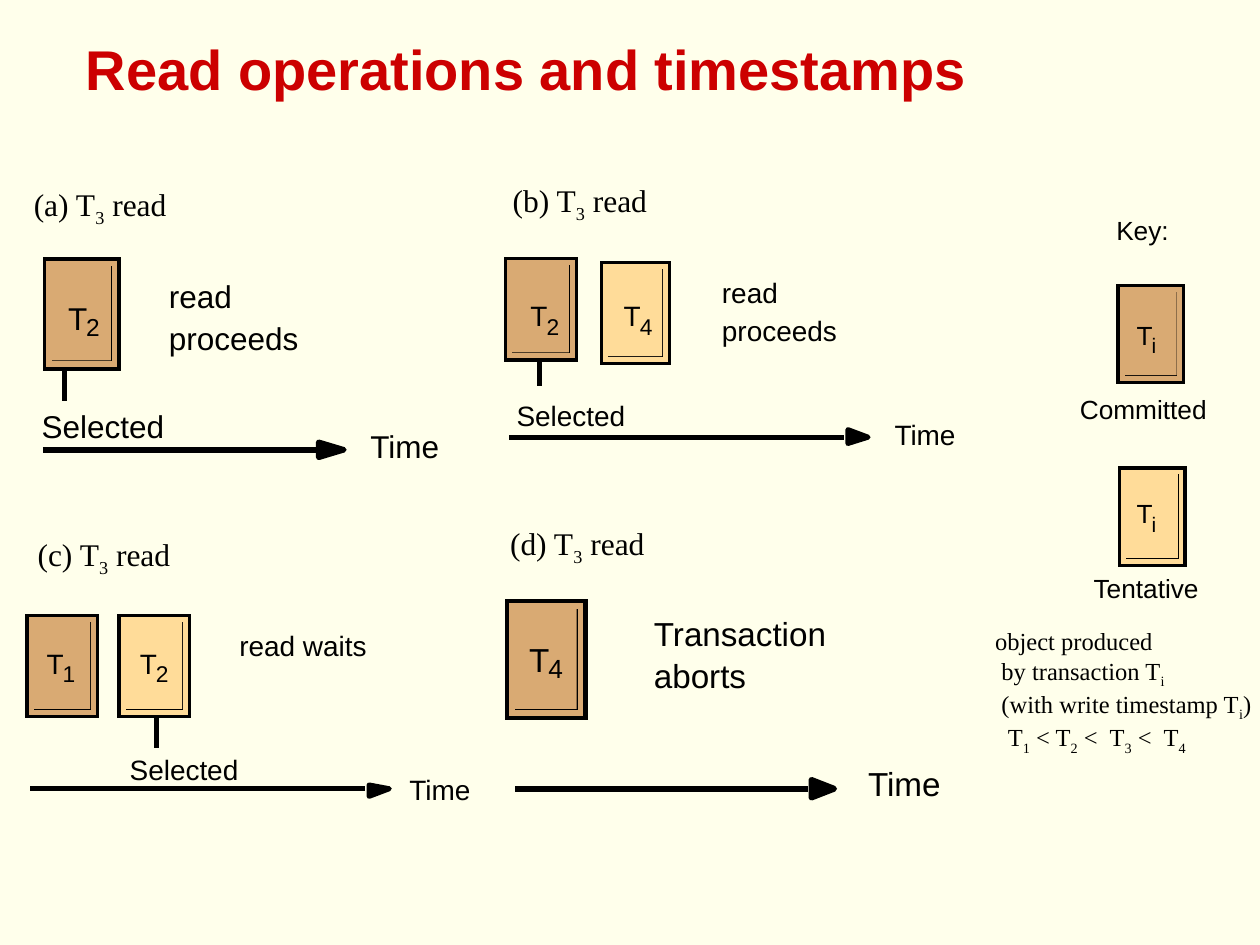
from lxml import etree
from pptx import Presentation
from pptx.dml.color import RGBColor
from pptx.enum.shapes import MSO_CONNECTOR, MSO_SHAPE
from pptx.enum.text import MSO_ANCHOR, MSO_AUTO_SIZE, PP_ALIGN
from pptx.oxml.ns import qn
from pptx.util import Inches, Pt

RECT, LINE = MSO_SHAPE.RECTANGLE, MSO_CONNECTOR.STRAIGHT
LEFT, BOTTOM = PP_ALIGN.LEFT, MSO_ANCHOR.BOTTOM
FIT = MSO_AUTO_SIZE.SHAPE_TO_FIT_TEXT

CREAM, RED, BLACK = "FFFFEB", "CC0000", "000000"
DONE, TRIAL = "D9AA73", "FFDC99"  # committed, tentative
SANS, SERIF = "Arial", "Times New Roman"
SLACK = 0.04  # spare label width, so that no word breaks

# size: text points, pen: line points
# labels: text, left, top, width
# boxes: colour, index, left, top, width, height, label left, label top
# stem: x, top, bottom
# axis: left, line end, y, head left, top, tip, bottom
PANELS = [
    dict(size=18, pen=3.12,
         labels=[("Time", 2.94, 3.39, 0.56), ("read", 1.34, 2.2, 0.5),
                 ("proceeds", 1.34, 2.53, 1.03),
                 ("Selected", 0.33, 3.23, 0.97)],
         boxes=[(DONE, "2", 0.36, 2.06, 0.58, 0.86, 0.54, 2.37)],
         stem=(0.51, 2.9, 3.18),
         axis=(0.34, 2.53, 3.57, 2.53, 3.51, 2.73, 3.63)),
    dict(size=16, pen=2.86,
         labels=[("Time", 7.1, 3.31, 0.49), ("read", 5.73, 2.19, 0.44),
                 ("proceeds", 5.73, 2.49, 0.91),
                 ("Selected", 4.1, 3.16, 0.86)],
         boxes=[(DONE, "2", 4.02, 2.06, 0.55, 0.79, 4.21, 2.37),
                (TRIAL, "4", 4.78, 2.09, 0.53, 0.79, 4.95, 2.37)],
         stem=(4.28, 2.79, 3.06),
         axis=(4.04, 6.7, 3.47, 6.73, 3.41, 6.89, 3.52)),
    dict(size=16, pen=2.86,
         labels=[("Time", 3.25, 6.13, 0.49), ("read waits", 1.9, 4.99, 1.01),
                 ("Selected", 1.03, 5.97, 0.86)],
         boxes=[(DONE, "1", 0.22, 4.89, 0.55, 0.79, 0.37, 5.13),
                (TRIAL, "2", 0.95, 4.89, 0.55, 0.79, 1.11, 5.13)],
         stem=(1.24, 5.67, 5.94),
         axis=(0.24, 2.9, 6.26, 2.93, 6.23, 3.09, 6.32)),
    dict(size=19, pen=3.37,
         labels=[("Time", 6.89, 6.06, 0.59), ("Transaction", 5.19, 4.87, 1.38),
                 ("aborts", 5.19, 5.2, 0.73)],
         boxes=[(DONE, "4", 4.03, 4.78, 0.61, 0.91, 4.2, 5.07)],
         axis=(4.09, 6.41, 6.26, 6.44, 6.19, 6.62, 6.33)),
    dict(size=15, pen=2.75,
         labels=[("Key:", 8.86, 1.7, 0.42), ("Tentative", 8.68, 4.54, 0.86),
                 ("Committed", 8.57, 3.12, 1.01)],
         boxes=[(DONE, "i", 8.88, 2.27, 0.51, 0.76, 9.02, 2.53),
                (TRIAL, "i", 8.89, 3.72, 0.51, 0.76, 9.02, 3.95)]),
]
HEADS = [("(a) T", 0.17, 1.42), ("(b) T", 3.97, 1.39),
         ("(c) T", 0.2, 4.2), ("(d) T", 3.95, 4.11)]
# indent, then runs that alternate between normal and subscript
NOTE = [
    (0, ["object produced"]),
    (0.05, ["by transaction T", "i"]),
    (0.05, ["(with write timestamp T", "i", ")"]),
    (0.1, ["T", "1", " < T", "2", " <  T", "3", " <  T", "4"]),
]

prs = Presentation()
prs.slide_width, prs.slide_height = Inches(10), Inches(7.5)
slide = prs.slides.add_slide(prs.slide_layouts[5])
shapes = slide.shapes


def rgb(code):
    return RGBColor.from_string(code)


def style(run, size, face, color=BLACK, bold=False):
    font = run.font
    font.size, font.name, font.bold = Pt(size), face, bold
    font.color.rgb = rgb(color)


def write(x, y, w, h, lines, size, face, pad=(0, 0)):
    """Add a text box; odd runs of a line are subscripts."""
    box = shapes.add_textbox(Inches(x), Inches(y), Inches(w), Inches(h))
    frame = box.text_frame
    frame.word_wrap, frame.auto_size = False, FIT
    frame.margin_left = frame.margin_right = Inches(pad[0])
    frame.margin_top = frame.margin_bottom = Inches(pad[1])
    for n, (dent, runs) in enumerate(lines):
        para = frame.add_paragraph() if n else frame.paragraphs[0]
        para.alignment = LEFT
        if dent:
            para._p.get_or_add_pPr().set("marL", str(Inches(dent)))
        for k, text in enumerate(runs):
            run = para.add_run()
            run.text = text
            style(run, size, face)
            if k % 2:
                run._r.get_or_add_rPr().set("baseline", "-25000")


def label(text, x, y, w, size):
    write(x, y, w + SLACK, size / 60, [(0, [text])], size, SANS)


def paint(shape, fill=None, edge=None, pen=0):
    shape.shadow.inherit = False
    if fill:
        shape.fill.solid()
        shape.fill.fore_color.rgb = rgb(fill)
    else:
        shape.fill.background()
    if edge:
        shape.line.color.rgb, shape.line.width = rgb(edge), Pt(pen)
    else:
        shape.line.fill.background()


def rule(x1, y1, x2, y2, pen):
    line = shapes.add_connector(LINE, *map(Inches, (x1, y1, x2, y2)))
    line.line.color.rgb, line.line.width = rgb(BLACK), Pt(pen)
    etree.SubElement(line._element.spPr, qn("a:effectLst"))


def card(color, x, y, w, h, pen):
    """Frame a black card and a coloured one inset, with a thin black rim."""
    step = 0.68 * pen / 72
    for shift, tone in ((0, BLACK), (step, color)):
        wide, high = w - 2 * shift, h - 2 * shift
        for cut, look in ((step, dict(fill=tone)),
                          (0, dict(edge=tone, pen=pen))):
            part = (x + shift, y + shift, wide - cut, high - cut)
            shape = shapes.add_shape(RECT, *map(Inches, part))
            paint(shape, **look)
            edge = shape._element.spPr.find(qn("a:ln"))
            etree.SubElement(edge, qn("a:miter")).set("lim", "800000")


def arrow(x, end, y, left, top, tip, low, pen):
    spots = [(left, top), (tip, y), (left, low)]
    pts = [(Inches(a), Inches(b)) for a, b in spots]
    form = shapes.build_freeform(Inches(left), Inches(y))
    form.add_line_segments(pts, close=True)
    paint(form.convert_to_shape(), BLACK, BLACK, pen)
    rule(x, y, end, y, pen)


slide.background.fill.solid()
slide.background.fill.fore_color.rgb = rgb(CREAM)

title = shapes.title
title.left, title.top = Inches(0.58), Inches(0.22)
title.width, title.height = Inches(8.58), Inches(0.64)
title.text_frame.vertical_anchor = BOTTOM
para = title.text_frame.paragraphs[0]
para.alignment = LEFT
run = para.add_run()
run.text = "Read operations and timestamps"
style(run, 32, SANS, RED, True)

for panel in PANELS:
    size, pen = panel["size"], panel["pen"]
    for text, x, y, w in panel["labels"]:
        label(text, x, y, w, size)
    if "stem" in panel:
        x, top, low = panel["stem"]
        rule(x, top, x, low, pen)
    if "axis" in panel:
        arrow(*panel["axis"], pen)
    for color, index, x, y, w, h, tx, ty in panel["boxes"]:
        card(color, x, y, w, h, pen)
        label("T", tx, ty, 0.0085 * size, size)
        small = round(0.79 * size)
        wide = 0.04 if index == "i" else 0.008 * small
        label(index, tx + 0.008 * size, ty + 0.11, wide, small)

write(7.8, 4.92, 2.23, 1.13, NOTE, 14, SERIF, (0.1, 0.05))
for text, x, y in HEADS:
    write(x, y, 1.27, 0.44, [(0, [text, "3", " read"])], 18, SERIF, (0.1, 0.05))

prs.save("out.pptx")
